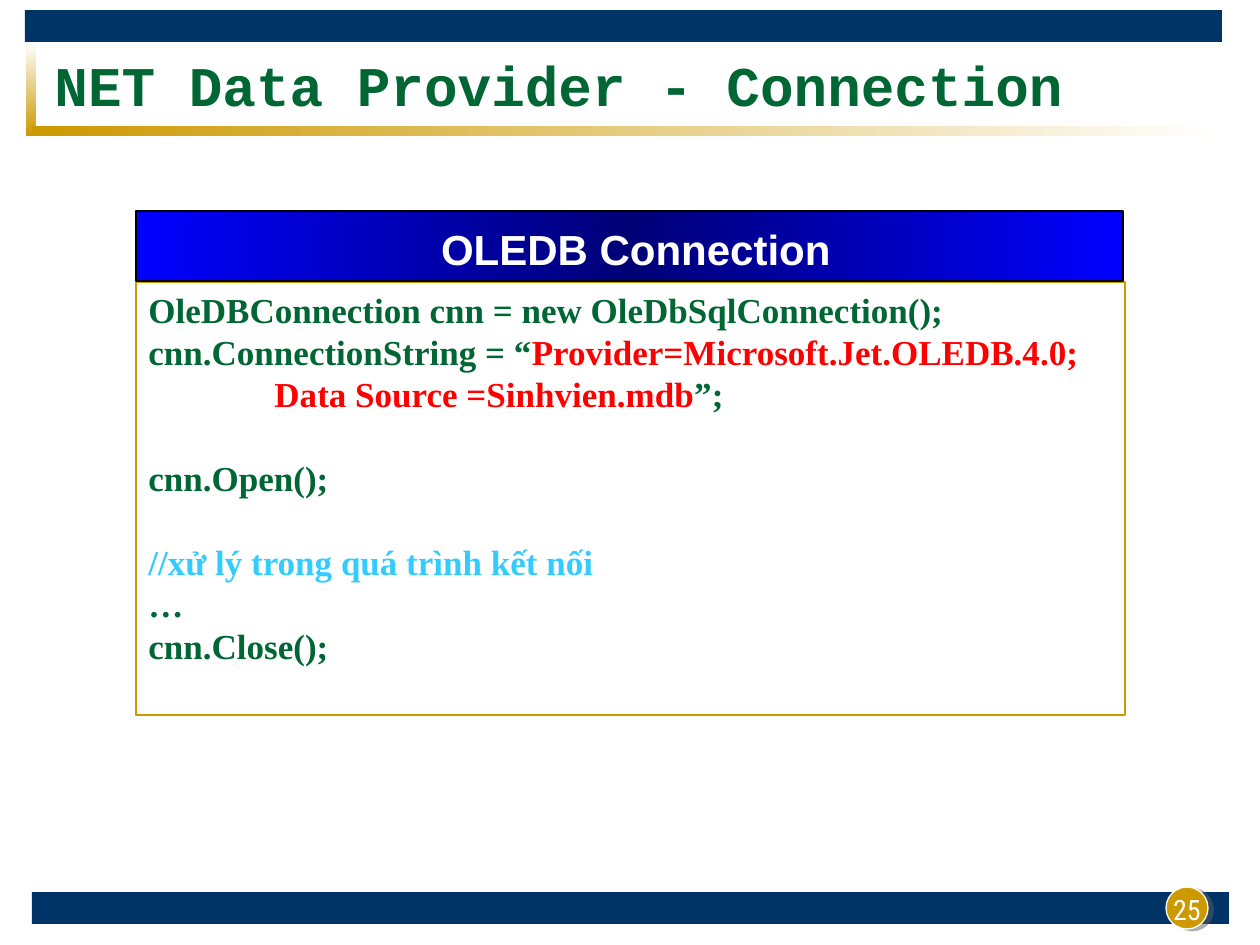
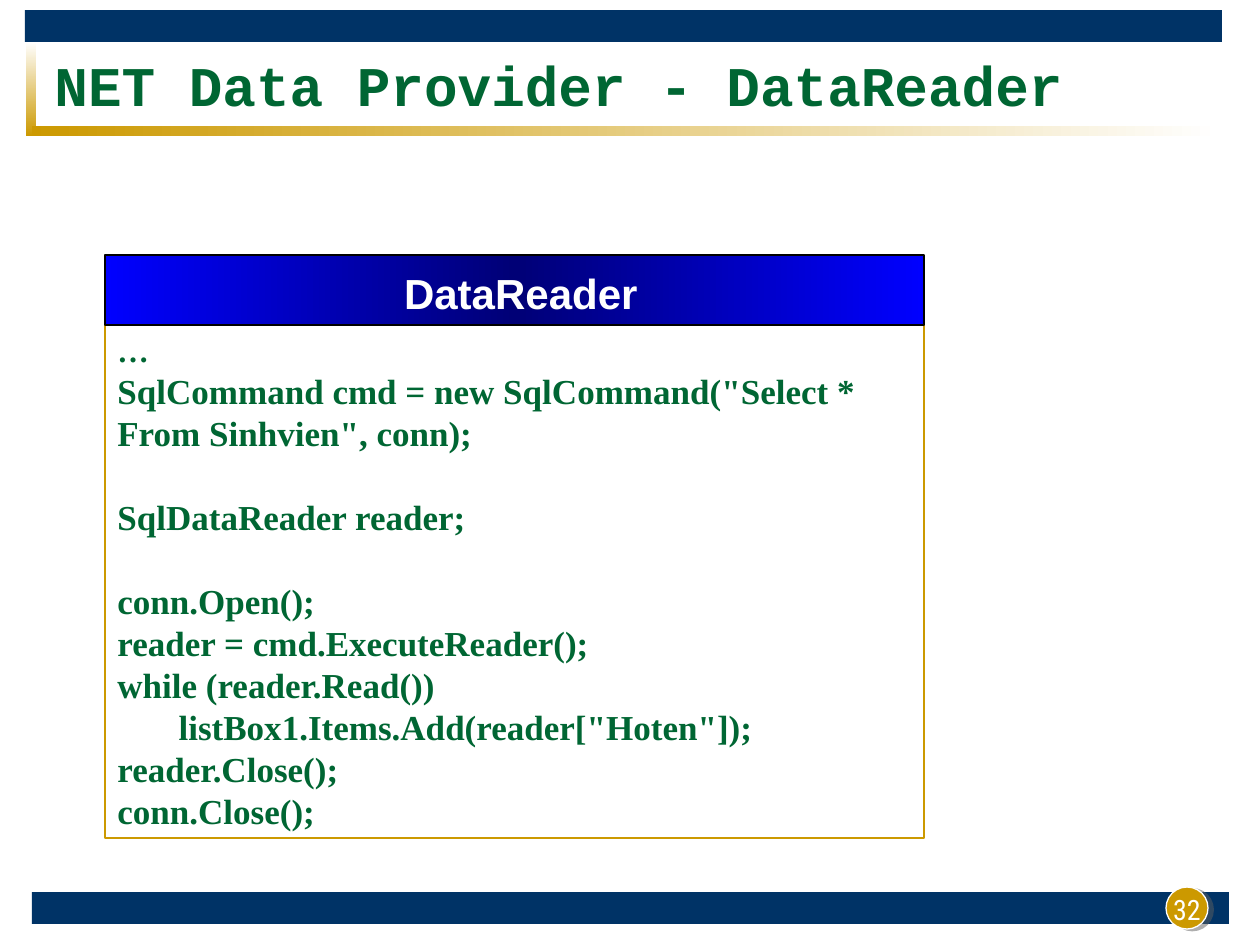
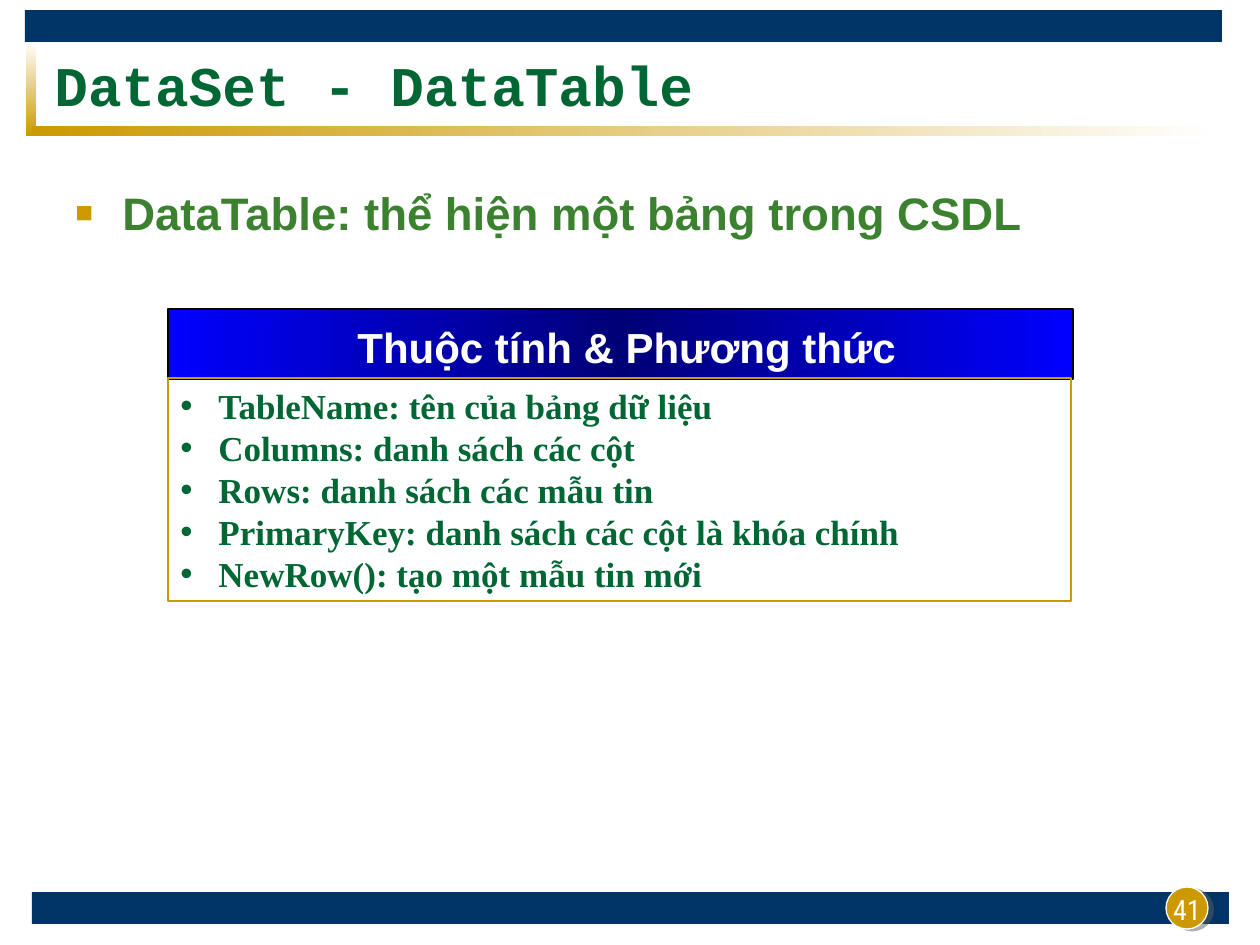
from lxml import etree
from pptx import Presentation
from pptx import util as u
from pptx.dml import color
from pptx.enum import shapes, text
from pptx.oxml import ns, parse_xml

PX_PER_INCH = 126
NAVY, GOLD, WHITE, GREEN, RED, SKY = "003366", "CC9900", "FFFFFF", "006633", "FF0000", "33CCFF"
HEADING_BLUES = ["0000FF", "000076", "0000FF"]
LINE_PITCH = 1.2

OLEDB_CODE = [
    dict(runs=[("OleDBConnection cnn = new OleDbSqlConnection();", GREEN)]),
    dict(runs=[("cnn.ConnectionString = “", GREEN),
               ("Provider=Microsoft.Jet.OLEDB.4.0; Data Source =Sinhvien.mdb", RED),
               ("”;", GREEN)], hanging=126),
    dict(runs=[("cnn.Open();", GREEN)], gap=True),
    dict(runs=[("//xử lý trong quá trình kết nối", SKY)], gap=True),
    dict(runs=[("…", GREEN)]),
    dict(runs=[("cnn.Close();", GREEN)]),
]
READER_CODE = [
    dict(runs=[("…", GREEN)], size=18),
    dict(runs=[('SqlCommand cmd = new SqlCommand("Select * From Sinhvien", conn);', GREEN)]),
    dict(runs=[("SqlDataReader reader;", GREEN)], gap=True),
    dict(runs=[("conn.Open();", GREEN)], gap=True),
    dict(runs=[("reader = cmd.ExecuteReader();", GREEN)]),
    dict(runs=[("while (reader.Read())", GREEN)]),
    dict(runs=[('       listBox1.Items.Add(reader["Hoten"]);', GREEN)]),
    dict(runs=[("reader.Close();", GREEN)]),
    dict(runs=[("conn.Close();", GREEN)]),
]
TABLE_MEMBERS = [
    "TableName: tên của bảng dữ liệu",
    "Columns: danh sách các cột",
    "Rows: danh sách các mẫu tin",
    "PrimaryKey: danh sách các cột là khóa chính",
    "NewRow(): tạo một mẫu tin mới",
]


def px(length):
    """Turn px into EMU."""
    return u.Emu(round(length * 914400 / PX_PER_INCH))


def rgb(value):
    """Turn a hex string into a colour."""
    return color.RGBColor.from_string(value)


def add_block(slide, box, fill=None, line=None, width=0.75, kind=shapes.MSO_SHAPE.RECTANGLE):
    """Add a flat preset shape."""
    block = slide.shapes.add_shape(kind, *map(px, box))
    block.shadow.inherit = False
    if fill:
        block.fill.solid()
        block.fill.fore_color.rgb = rgb(fill)
    else:
        block.fill.background()
    if line:
        block.line.color.rgb = rgb(line)
        block.line.width = u.Pt(width)
    else:
        block.line.fill.background()
    return block


def set_gradient(block, stops, angle):
    """Replace the empty fill of a block by evenly spaced colour stops."""
    step = 100000 // (len(stops) - 1)
    marks = "".join(f'<a:gs pos="{i * step}"><a:srgbClr val="{stop}"/></a:gs>'
                    for i, stop in enumerate(stops))
    gradient = parse_xml(f'<a:gradFill {ns.nsdecls("a")}><a:gsLst>{marks}</a:gsLst>'
                         f'<a:lin ang="{angle * 60000}" scaled="0"/></a:gradFill>')
    properties = block.element.spPr
    properties.replace(properties.find(ns.qn("a:noFill")), gradient)


def cast_shadow(block):
    """Give a block a hard grey shadow to its lower right."""
    effects = block.element.spPr.find(ns.qn("a:effectLst"))
    effects.append(parse_xml(
        f'<a:outerShdw {ns.nsdecls("a")} blurRad="0" dist="{u.Pt(3.2)}" dir="1080000" algn="ctr" '
        'rotWithShape="0"><a:srgbClr val="5F5F5F"><a:alpha val="50000"/></a:srgbClr></a:outerShdw>'))


def add_label(slide, box):
    """Add an empty wrapping text box and return its frame."""
    frame = slide.shapes.add_textbox(*map(px, box)).text_frame
    frame.word_wrap = True
    return frame


def style(font, name, size, ink, bold=True):
    """Set the look of a font."""
    font.name, font.size, font.bold = name, u.Pt(size), bold
    font.color.rgb = rgb(ink)


def set_line(frame, words, name, size, ink, bold=True,
             align=text.PP_ALIGN.LEFT, anchor=text.MSO_ANCHOR.MIDDLE):
    """Fill a frame with one styled line."""
    frame.text = words
    frame.vertical_anchor = anchor
    line = frame.paragraphs[0]
    line.alignment = align
    style(line.runs[0].font, name, size, ink, bold)
    return line


def set_hanging(paragraph, indent):
    """Indent all lines of a paragraph but the first."""
    properties = paragraph._p.get_or_add_pPr()
    properties.set("marL", str(px(indent)))
    properties.set("indent", str(-px(indent)))
    return properties


def set_bullet(paragraph, mark, ink, indent, percent=100):
    """Give a paragraph a coloured bullet."""
    properties = set_hanging(paragraph, indent)
    tint = etree.SubElement(properties, ns.qn("a:buClr"))
    etree.SubElement(tint, ns.qn("a:srgbClr"), val=ink)
    etree.SubElement(properties, ns.qn("a:buSzPct"), val=str(percent * 1000))
    etree.SubElement(properties, ns.qn("a:buFont"), typeface="Arial")
    etree.SubElement(properties, ns.qn("a:buChar"), char=mark)


def add_frame(slide, title, number):
    """Draw the bands, rules, title and page number."""
    add_block(slide, (32, 892, 1197, 32), NAVY)
    add_block(slide, (25, 10, 1197, 32), NAVY)
    set_gradient(add_block(slide, (26, 42, 10, 94)), [WHITE, GOLD], 90)
    set_gradient(add_block(slide, (32, 126, 1187, 10)), [GOLD, WHITE], 0)
    cast_shadow(add_block(slide, (1166, 887, 42, 42), GOLD, WHITE, kind=shapes.MSO_SHAPE.OVAL))
    set_line(add_label(slide, (919, 869, 294, 63)), str(number), "Roboto Condensed", 16, WHITE,
             bold=False, align=text.PP_ALIGN.RIGHT, anchor=text.MSO_ANCHOR.BOTTOM)
    set_line(add_label(slide, (42, 53, 1218, 63)), title, "Courier New", 32, GREEN)


def add_heading(slide, box, words):
    """Add the blue heading of a panel."""
    heading = add_block(slide, box, line="000000")
    set_gradient(heading, HEADING_BLUES, 0)
    frame = heading.text_frame
    frame.margin_left = px(25)
    frame.margin_top = px(12)
    set_line(frame, words, "Arial", 24, WHITE, align=text.PP_ALIGN.CENTER)


def add_panel(slide, box, entries):
    """Add a gold outlined panel of text lines."""
    frame = add_block(slide, box, line=GOLD, width=1).text_frame
    frame.word_wrap = True
    frame.vertical_anchor = text.MSO_ANCHOR.TOP
    for index, entry in enumerate(entries):
        line = frame.add_paragraph() if index else frame.paragraphs[0]
        size = entry.get("size", 20)
        line.alignment = text.PP_ALIGN.LEFT
        line.line_spacing = u.Pt(size * LINE_PITCH)
        if entry.get("gap"):
            line.space_before = u.Pt(size * LINE_PITCH)
        if "hanging" in entry:
            set_hanging(line, entry["hanging"])
        if "bullet" in entry:
            set_bullet(line, entry["bullet"], GREEN, 38)
        for words, ink in entry["runs"]:
            run = line.add_run()
            run.text = words
            style(run.font, "Times New Roman", size, ink)


def add_topic(slide, words):
    """Add the bulleted statement under the title."""
    topic = set_line(add_label(slide, (63, 179, 1134, 672)), words, "Arial", 26, "3B812F",
                     anchor=text.MSO_ANCHOR.TOP)
    set_bullet(topic, "■", GOLD, 47, 65)


def main():
    """Build the three slides."""
    deck = Presentation()
    deck.slide_width, deck.slide_height = px(1260), px(945)
    blank = deck.slide_layouts[6]

    connection = deck.slides.add_slide(blank)
    add_frame(connection, "NET Data Provider - Connection", 25)
    add_panel(connection, (136, 282, 989, 433), OLEDB_CODE)
    add_heading(connection, (136, 211, 987, 70), "OLEDB Connection")

    reader = deck.slides.add_slide(blank)
    add_frame(reader, "NET Data Provider - DataReader", 32)
    add_panel(reader, (105, 325, 819, 513), READER_CODE)
    add_heading(reader, (105, 255, 819, 70), "DataReader")

    data_table = deck.slides.add_slide(blank)
    add_frame(data_table, "DataSet - DataTable", 41)
    add_topic(data_table, "DataTable: thể hiện một bảng trong CSDL")
    add_heading(data_table, (168, 309, 905, 70), "Thuộc tính & Phương thức")
    add_panel(data_table, (168, 378, 903, 223),
              [dict(runs=[(member, GREEN)], bullet="•") for member in TABLE_MEMBERS])

    deck.save("out.pptx")


if __name__ == "__main__":
    main()
